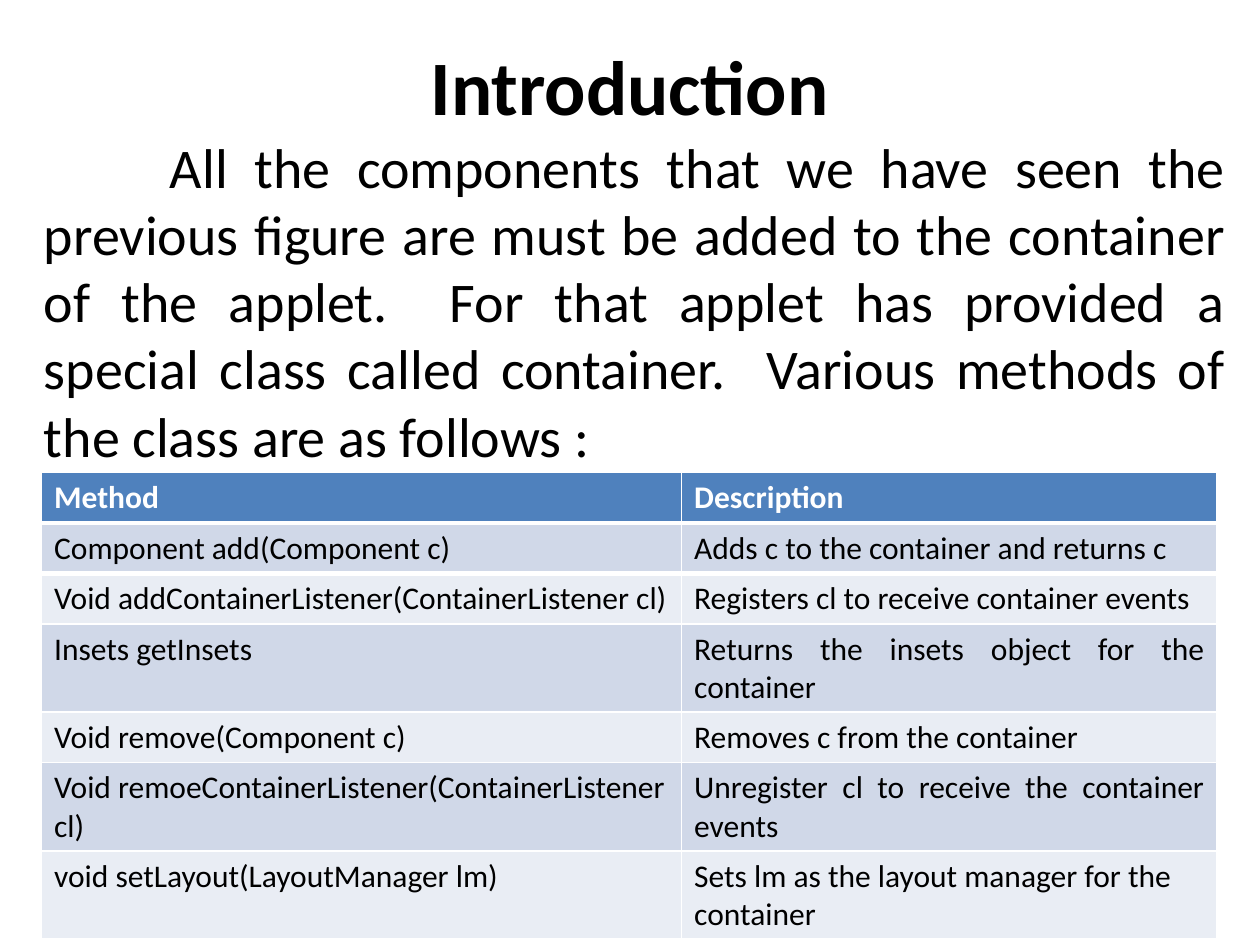
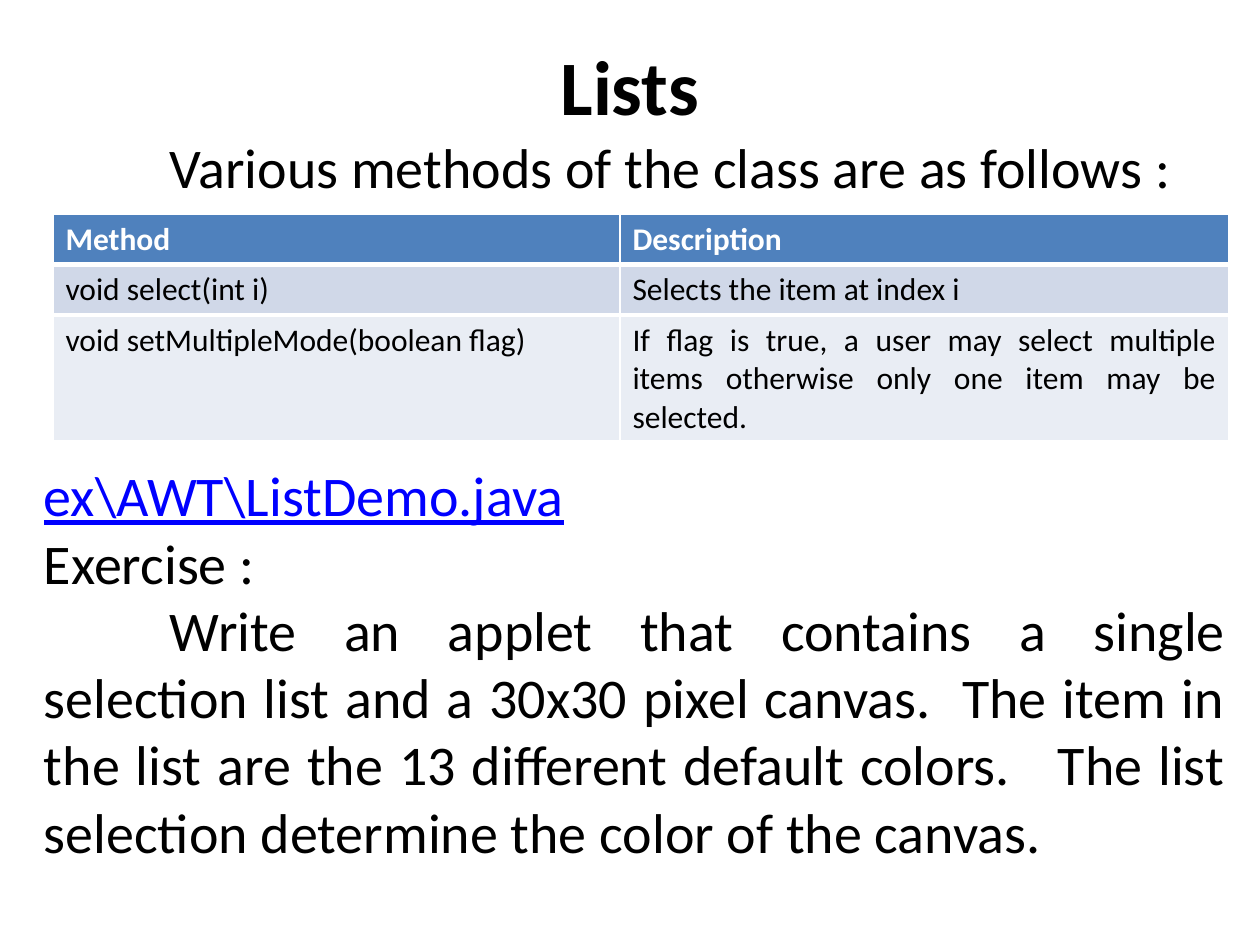
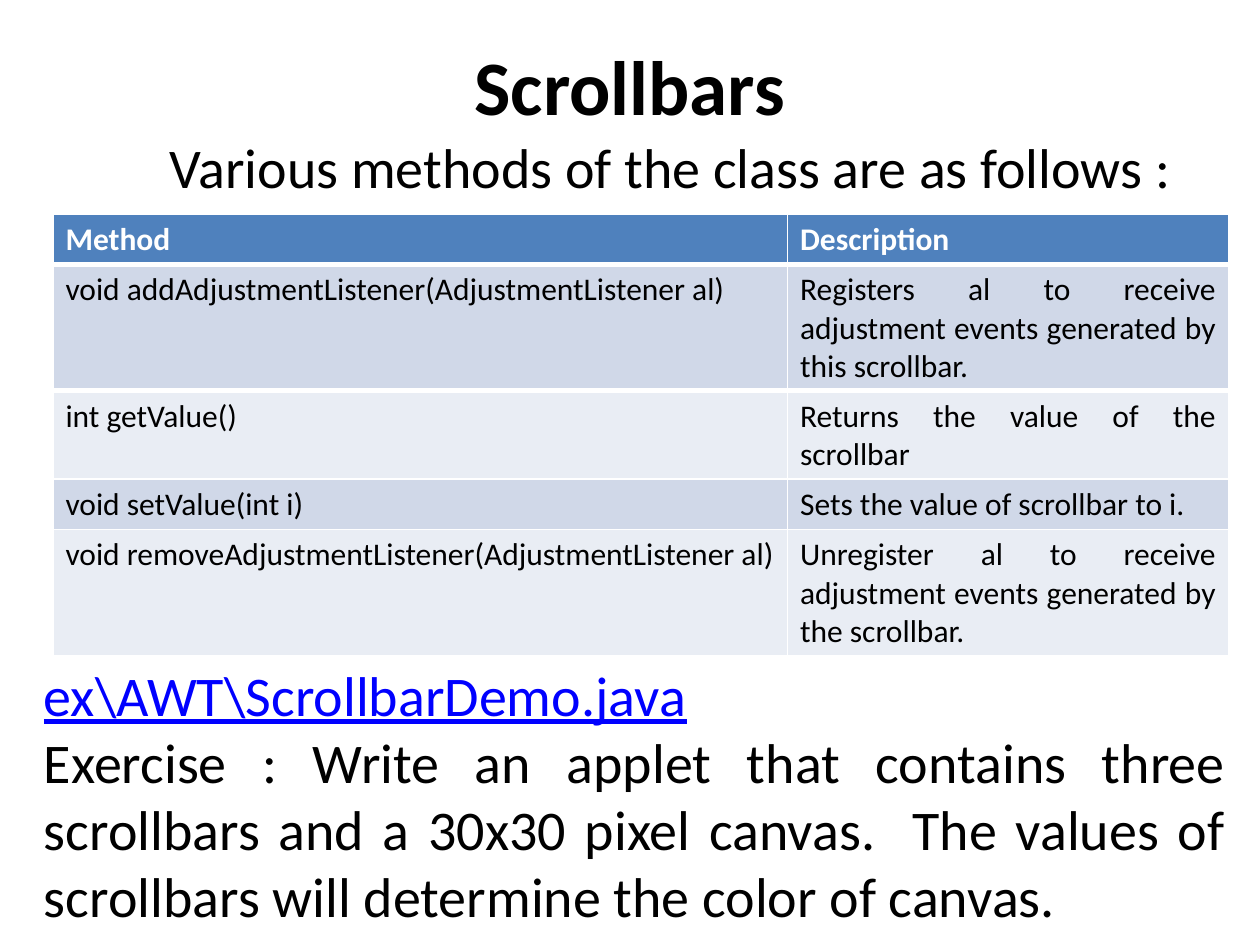
from typing import NamedTuple

from lxml.etree import SubElement
from pptx import Presentation
from pptx.dml.color import RGBColor
from pptx.enum.text import MSO_ANCHOR as Anchor, MSO_AUTO_SIZE as Fit, PP_ALIGN as Align
from pptx.oxml import parse_xml
from pptx.oxml.ns import nsdecls, qn
from pptx.util import Inches, Pt

BLACK = RGBColor(0x00, 0x00, 0x00)
WHITE = RGBColor(0xFF, 0xFF, 0xFF)
LINK = RGBColor(0x00, 0x00, 0xFF)
HEAD = RGBColor(0x4F, 0x81, 0xBD)
BANDS = RGBColor(0xD0, 0xD8, 0xE8), RGBColor(0xE9, 0xED, 0xF4)

FONT = "Calibri"
TITLE_ONLY = 5
ROW_HEIGHT = 0.37
TAB_STOP = Inches(1)
METHODS = "\tVarious methods of the class are as follows :"


class Row(NamedTuple):
    method: str
    about: str
    align: Align = Align.JUSTIFY


class Grid(NamedTuple):
    left: float
    top: float
    widths: tuple[float, float]
    rows: list[Row]


class Line(NamedTuple):
    text: str
    link: bool = False


class Block(NamedTuple):
    top: float
    height: float
    lines: list[Line]


class Page(NamedTuple):
    title: str
    grid: Grid
    blocks: list[Block]


PAGES = [
    Page(
        "Introduction",
        Grid(0.33, 3.75, (5.08, 4.25), [
            Row("Component add(Component c)", "Adds c to the container and returns c"),
            Row("Void addContainerListener(ContainerListener cl)",
                "Registers cl to receive container events"),
            Row("Insets getInsets", "Returns the insets object for the container"),
            Row("Void remove(Component c)", "Removes c from the container"),
            Row("Void remoeContainerListener(ContainerListener cl)",
                "Unregister cl to receive the container events"),
            Row("void setLayout(LayoutManager lm)",
                "Sets lm as the layout manager for the container", Align.LEFT),
        ]),
        [Block(1, 2.79, [Line(
            "\tAll the components that we have seen the previous figure are must be "
            "added to the container of the applet.  For that applet has provided a "
            "special class called container.  Various methods of the class are as "
            "follows :")])],
    ),
    Page(
        "Lists",
        Grid(0.42, 1.7, (4.5, 4.83), [
            Row("void select(int i)", "Selects the item at index i"),
            Row("void setMultipleMode(boolean flag)",
                "If flag is true, a user may select multiple items otherwise only one "
                "item may be selected."),
        ]),
        [
            Block(1, 0.64, [Line(METHODS)]),
            Block(3.61, 3.33, [
                Line("ex\\AWT\\ListDemo.java", link=True),
                Line("Exercise :"),
                Line("\tWrite an applet that contains a single selection list and a "
                     "30x30 pixel canvas.  The item in the list are the 13 different "
                     "default colors.   The list selection determine the color of the "
                     "canvas."),
            ]),
        ],
    ),
    Page(
        "Scrollbars",
        Grid(0.42, 1.7, (5.83, 3.5), [
            Row("void addAdjustmentListener(AdjustmentListener al)",
                "Registers al to receive adjustment events generated by this scrollbar."),
            Row("int getValue()", "Returns the value of the scrollbar"),
            Row("void setValue(int i)", "Sets the value of scrollbar to i."),
            Row("void removeAdjustmentListener(AdjustmentListener al)",
                "Unregister al to receive adjustment events generated by the scrollbar."),
        ]),
        [
            Block(1, 0.64, [Line(METHODS)]),
            Block(5.19, 2.26, [
                Line("ex\\AWT\\ScrollbarDemo.java", link=True),
                Line("Exercise : Write an applet that contains three scrollbars and a "
                     "30x30 pixel canvas.  The values of scrollbars will determine the "
                     "color of canvas."),
            ]),
        ],
    ),
]


def write(para, text: str, *, size: int, color: RGBColor = BLACK,
          bold: bool = False, under: bool = False, align: Align = Align.LEFT) -> None:
    para.alignment = align
    run = para.add_run()
    run.text = text
    font = run.font
    font.name, font.size, font.bold, font.underline = FONT, Pt(size), bold, under
    font.color.rgb = color


def set_tab(para) -> None:
    stops = SubElement(para._p.get_or_add_pPr(), qn("a:tabLst"))
    SubElement(stops, qn("a:tab"), pos=str(TAB_STOP), algn="l")


def set_edge(cell, side: str, width: float) -> None:
    edge = parse_xml(
        f'<a:{side} {nsdecls("a")} w="{Pt(width)}"><a:solidFill>'
        f'<a:srgbClr val="{WHITE}"/></a:solidFill></a:{side}>')
    cell._tc.get_or_add_tcPr().insert(0, edge)


def add_title(slide, text: str) -> None:
    title = slide.shapes.title
    title.left, title.top = Inches(0), Inches(0.17)
    title.width, title.height = Inches(10), Inches(1)
    title.text_frame.vertical_anchor = Anchor.MIDDLE
    write(title.text_frame.paragraphs[0], text, size=44, bold=True, align=Align.CENTER)


def add_block(slide, block: Block) -> None:
    box = slide.shapes.add_textbox(
        Inches(0.25), Inches(block.top), Inches(9.58), Inches(block.height))
    frame = box.text_frame
    frame.word_wrap = True
    frame.auto_size = Fit.SHAPE_TO_FIT_TEXT
    for i, line in enumerate(block.lines):
        para = frame.add_paragraph() if i else frame.paragraphs[0]
        write(para, line.text, size=32, color=LINK if line.link else BLACK,
              under=line.link, align=Align.JUSTIFY)
        if line.text.startswith("\t"):
            set_tab(para)


def add_grid(slide, grid: Grid) -> None:
    rows = [Row("Method", "Description", Align.LEFT), *grid.rows]
    table = slide.shapes.add_table(
        len(rows), len(grid.widths), Inches(grid.left), Inches(grid.top),
        Inches(sum(grid.widths)), Inches(ROW_HEIGHT * len(rows))).table
    for column, width in zip(table.columns, grid.widths):
        column.width = Inches(width)
    for i, row in enumerate(rows):
        table.rows[i].height = Inches(ROW_HEIGHT)
        pairs = (row.method, Align.LEFT), (row.about, row.align)
        for cell, (text, align) in zip(table.rows[i].cells, pairs):
            cell.fill.solid()
            cell.fill.fore_color.rgb = BANDS[(i - 1) % 2] if i else HEAD
            write(cell.text_frame.paragraphs[0], text, size=18, bold=i == 0,
                  color=BLACK if i else WHITE, align=align)
            if i < 2:
                set_edge(cell, "lnT" if i else "lnB", 3)


def main() -> None:
    deck = Presentation()
    deck.slide_width, deck.slide_height = Inches(10), Inches(7.5)
    for page in PAGES:
        slide = deck.slides.add_slide(deck.slide_layouts[TITLE_ONLY])
        add_title(slide, page.title)
        add_block(slide, page.blocks[0])
        add_grid(slide, page.grid)
        for block in page.blocks[1:]:
            add_block(slide, block)
    deck.save("out.pptx")


if __name__ == "__main__":
    main()
